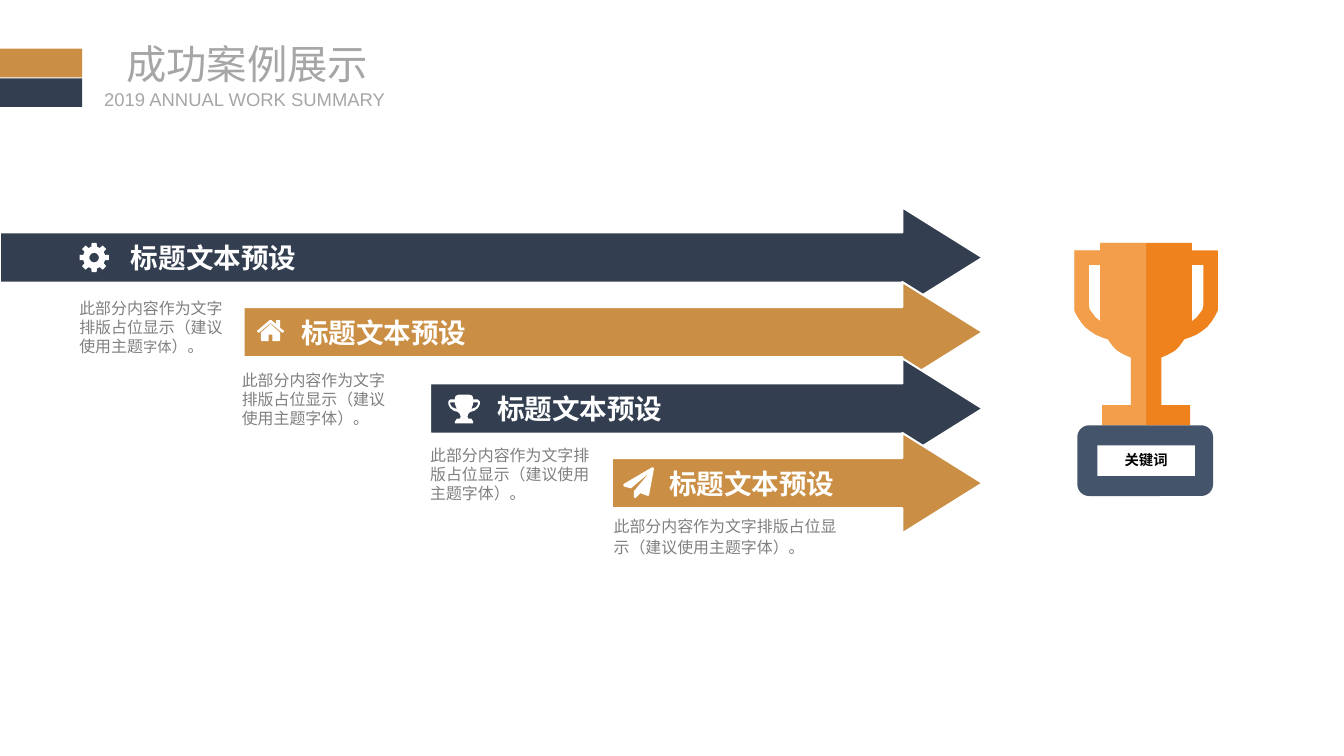
"""Build the success-case slide: four stepped arrows leading to a trophy."""
from math import cos, radians, sin

from lxml import etree
from pptx import Presentation
from pptx.dml.color import RGBColor
from pptx.enum.shapes import MSO_SHAPE
from pptx.enum.text import MSO_ANCHOR, MSO_AUTO_SIZE, PP_ALIGN
from pptx.oxml.ns import qn
from pptx.util import Inches, Pt

RECT, ROUND, ARROW = MSO_SHAPE.RECTANGLE, MSO_SHAPE.ROUNDED_RECTANGLE, MSO_SHAPE.RIGHT_ARROW
MIDDLE, TOP = MSO_ANCHOR.MIDDLE, MSO_ANCHOR.TOP
LEFT, CENTER = PP_ALIGN.LEFT, PP_ALIGN.CENTER
NO_FIT = MSO_AUTO_SIZE.NONE

CELL = 0.1
FINE = 10
COLS, ROWS = 140.6, 79.1
TIP, TALL = 102.8, 10.5
NAVY, GOLD, WHITE = "333F50", "CA8F45", "FFFFFF"
PALE, GREY = "A6A6A6", "808080"
ORANGE, CREAM, SLATE = "F0821E", "F7DDAF", "44546A"
HAN = "Noto Sans CJK SC"
HEAD = "标题文本预设"
BODY = [("此部分内容作为文字排版占位显示（建议使用主题字体）。", 12)]
MIXED = [("此部分内容作为文字排版占位显示（建议使用主题", 12), ("字体", 10.8), ("）。", 12)]

HOUSE = [
    [(27, 13), (26, 13), (14, 3), (2, 13), (1, 13), (0, 12), (0, 11), (13, 0), (15, 0),
     (20, 4), (20, 0), (24, 0), (24, 8), (28, 11), (28, 12)],
    [(24, 21), (23, 22), (16, 22), (16, 15), (12, 15), (12, 22), (5, 22), (4, 21),
     (4, 13), (14, 4), (24, 13)],
]
PLANE = [
    [(32, 2), (27, 29), (26, 30), (18, 27), (13, 32), (12, 32), (11, 31), (11, 25),
     (27, 6), (8, 22), (1, 20), (0, 19), (0, 18), (1, 17), (30, 0), (31, 0), (32, 1)],
]
CUP_SIDE = [(22, 0), (25, 1), (26, 3), (26, 5), (31, 5), (33, 7), (33, 10), (31, 14),
            (27, 17), (23, 18), (21, 20), (20, 23), (21, 25), (24, 25), (26, 28), (26, 30)]
CUP_HOLE = [(31, 8), (26, 8), (26, 10), (24, 15), (29, 13), (31, 10)]
PRIZE_SIDE = [(75, 0), (27, 0), (27, 8), (0, 8), (0, 71), (3, 77), (7, 83), (11, 88),
              (16, 92), (22, 96), (29, 99), (35, 101), (40, 108), (45, 113), (52, 117),
              (59, 120), (59, 170), (29, 170), (29, 191), (75, 191)]
PRIZE_HOLE = [(15, 23), (27, 23), (27, 82), (22, 78), (19, 74), (16, 70), (15, 65)]


def grid(*cells):
    """Turn grid cells into lengths."""
    return [Inches(cell * CELL) for cell in cells]


def tint(code):
    """Turn a hex string into a colour."""
    return RGBColor.from_string(code)


def mirror(side, hole, wide):
    """Join one side and its reflection, with a hole on either side."""
    def flip(points):
        return [(wide - x, y) for x, y in points]
    return [side + flip(side)[::-1], hole, flip(hole)]


def ring(mid, turns):
    """Place points around a centre from pairs of radius and angle."""
    return [(mid + r * sin(radians(a)), mid - r * cos(radians(a))) for r, a in turns]


def gear():
    """Trace an eight-tooth gear with a round hole."""
    tooth = [(11.7, -14), (15.5, -10), (15.5, 10), (11.7, 14)]
    teeth = [(r, a + turn) for turn in range(0, 360, 45) for r, a in tooth]
    return [ring(15.5, teeth), ring(15.5, [(5, a) for a in range(0, 360, 15)])]


def paint(shape, fill, edge=None, alpha=None):
    """Set the fill, outline and opacity of a shape."""
    shape.shadow.inherit = False
    shape.fill.solid()
    shape.fill.fore_color.rgb = tint(fill)
    if alpha:
        node = shape.element.spPr.find(qn("a:solidFill")).find(qn("a:srgbClr"))
        etree.SubElement(node, qn("a:alpha"), val=str(alpha * 1000))
    if edge:
        shape.line.color.rgb = tint(edge)
        shape.line.width = Pt(1.5)
    else:
        shape.line.fill.background()


def block(slide, kind, area, fill, edge=None):
    """Add a painted preset shape."""
    shape = slide.shapes.add_shape(kind, *grid(*area))
    paint(shape, fill, edge)
    return shape


def outline(slide, left, top, loops, fill, alpha=None):
    """Add a freeform made of closed loops."""
    loops = [[(x * FINE, y * FINE) for x, y in loop] for loop in loops]
    pen = slide.shapes.build_freeform(*loops[0][0], scale=Inches(1) / (100 * FINE))
    for num, loop in enumerate(loops):
        if num:
            pen.move_to(*loop[0])
        pen.add_line_segments(loop[1:], close=True)
    paint(pen.convert_to_shape(*grid(left, top)), fill, alpha=alpha)


def write(shape, runs, face, color, bold=False, anchor=MIDDLE, align=LEFT, gap=1):
    """Fill a shape with one paragraph of sized runs."""
    frame = shape.text_frame
    frame.auto_size = NO_FIT
    frame.word_wrap = True
    frame.vertical_anchor = anchor
    frame.margin_left = frame.margin_right = frame.margin_top = frame.margin_bottom = 0
    para = frame.paragraphs[0]
    para.alignment = align
    para.line_spacing = gap
    for text, size in runs:
        run = para.add_run()
        run.text = text
        font = run.font
        font.size, font.bold, font.name = Pt(size), bold, face
        font.color.rgb = tint(color)
        etree.SubElement(run._r.get_or_add_rPr(), qn("a:ea"), typeface=HAN)


def label(slide, area, *args, **style):
    """Add a text box."""
    write(slide.shapes.add_textbox(*grid(*area)), *args, **style)


def header(slide):
    """Add the title, subtitle and two colour bars."""
    title = slide.shapes.title
    title.left, title.top, title.width, title.height = grid(13.2, 4.1, 60.6, 5.1)
    write(title, [("成功案例展示", 30.4)], "Arial", PALE)
    label(slide, (10.9, 9.2, 43.1, 2.3), [("2019 ANNUAL WORK SUMMARY", 13.9)], "Arial", PALE)
    for top, fill in ((5.1, GOLD), (8.2, NAVY)):
        block(slide, RECT, (0, top, 8.6, 3), fill)


def steps(slide):
    """Add the four arrows with their icons, headings and notes."""
    cup = mirror(CUP_SIDE, CUP_HOLE, 33)
    rows = [
        (0, 21.7, NAVY, 13.7, gear(), (8.3, 25.4), (8.3, 31.2, 15.2, 6.4), MIXED, 1),
        (25.5, 29.5, GOLD, 31.5, HOUSE, (26.9, 33.5), (25.3, 38.8, 16.2, 6.4), BODY, 1),
        (45, 37.5, NAVY, 52, cup, (46.9, 41.3), (45, 46.6, 17.1, 6.4), BODY, 1),
        (64, 45.3, GOLD, 70, PLANE, (65.2, 48.9), (64.2, 53.9, 23.7, 4.3), BODY, 1.1),
    ]
    for left, top, fill, start, icon, spot, area, runs, gap in rows:
        arrow = block(slide, ARROW, (left, top, TIP - left, TALL), fill, WHITE)
        arrow.adjustments[0], arrow.adjustments[1] = 0.5, 0.8
        label(slide, (start, top, 18, TALL), [(HEAD, 20.8)], "Calibri", WHITE, bold=True)
        label(slide, area, runs, HAN, GREY, anchor=TOP, gap=gap)
        outline(slide, *spot, icon, WHITE)


def prize(slide):
    """Add the trophy on its labelled base."""
    outline(slide, 112.4, 25.4, mirror(PRIZE_SIDE, PRIZE_HOLE, 150), ORANGE)
    outline(slide, 112.4, 25.4, [PRIZE_SIDE, PRIZE_HOLE], CREAM, alpha=31)
    block(slide, ROUND, (112.7, 44.5, 14.2, 7.4), SLATE)
    plate = block(slide, RECT, (114.8, 46.6, 10.2, 3.2), WHITE)
    write(plate, [("关键词", 10.8)], "Calibri", "000000", bold=True, align=CENTER, gap=0.9)


def main():
    """Build and save the slide."""
    deck = Presentation()
    deck.slide_width, deck.slide_height = grid(COLS, ROWS)
    slide = deck.slides.add_slide(deck.slide_layouts[5])
    header(slide)
    steps(slide)
    prize(slide)
    deck.save("out.pptx")


if __name__ == "__main__":
    main()
